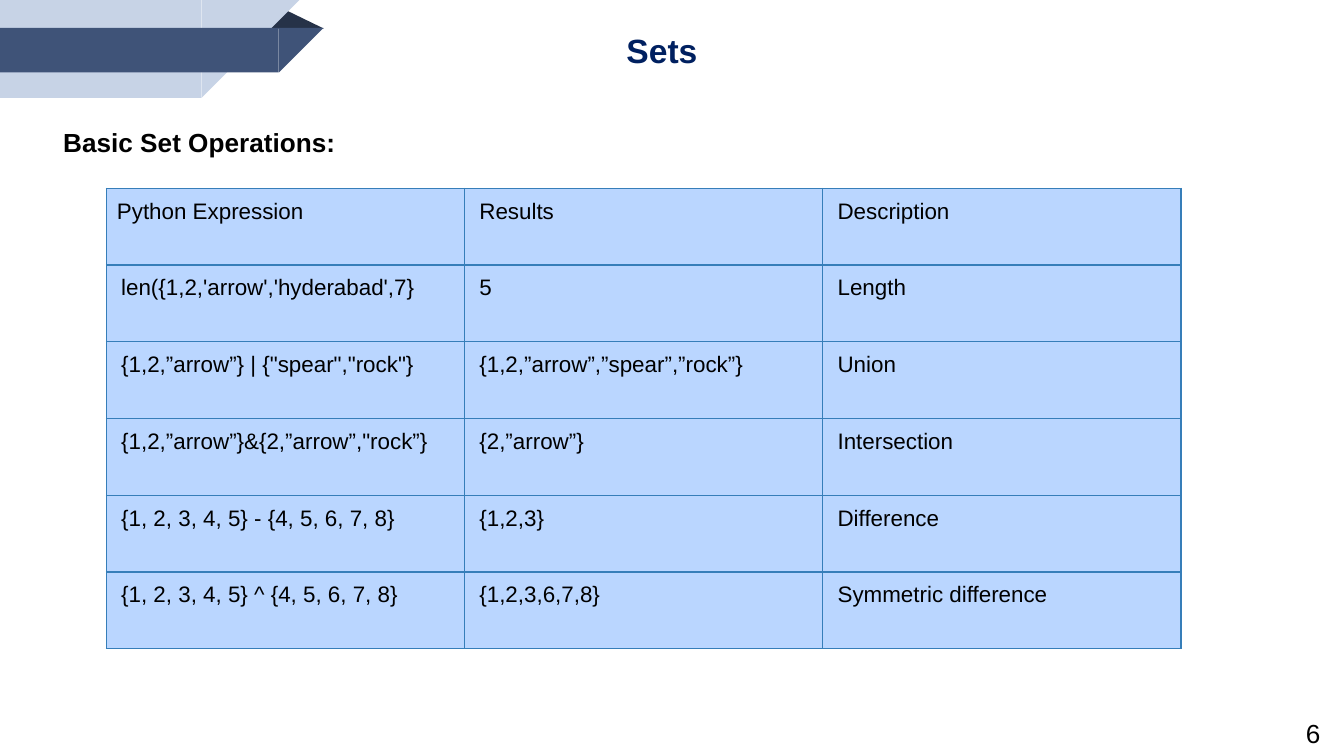
from dataclasses import dataclass

from lxml import etree
from pptx import Presentation
from pptx import util as u
from pptx.dml.color import RGBColor
from pptx.enum import shapes, text
from pptx.oxml import ns

HUES = {
    "pale": "C7D3E6",
    "navy": "3F5378",
    "fold": "263248",
    "title": "002060",
    "ink": "000000",
    "cell": "BAD6FF",
    "edge": "367EB9",
}
FONT = "Arial"
ROWS = [
    ("Python Expression", "Results", "Description"),
    ("len({1,2,'arrow','hyderabad',7}", "5", "Length"),
    ('{1,2,”arrow”} | {"spear","rock"}', "{1,2,”arrow”,”spear”,”rock”}", "Union"),
    ('{1,2,”arrow”}&{2,”arrow”,"rock”}', "{2,”arrow”}", "Intersection"),
    ("{1, 2, 3, 4, 5} - {4, 5, 6, 7, 8}", "{1,2,3}", "Difference"),
    ("{1, 2, 3, 4, 5} ^ {4, 5, 6, 7, 8}", "{1,2,3,6,7,8}", "Symmetric difference"),
]
COL, ROW = 6.77, 1.45


@dataclass
class Box:
    """Place and size in centimetres."""
    x: float
    y: float
    w: float
    h: float

    def lens(self) -> list:
        return [u.Cm(n) for n in (self.x, self.y, self.w, self.h)]


@dataclass
class Band:
    """A ribbon with a slanted right end."""
    y: float
    w: float
    h: float
    hue: str


BANDS = [Band(0, 3.81, 1.85, "pale"), Band(0.53, 5.27, 0.84, "navy")]


def color(hue: str) -> RGBColor:
    return RGBColor.from_string(HUES[hue])


def place(item, box: Box) -> None:
    item.left, item.top, item.width, item.height = box.lens()


def style(par, size: float, hue: str = "ink", bold: bool = False) -> None:
    for run in par.runs:
        font = run.font
        font.name, font.size, font.bold = FONT, u.Pt(size), bold
        font.color.rgb = color(hue)


def draw(slide, kind, box: Box, hue: str):
    shape = slide.shapes.add_shape(kind, *box.lens())
    shape.shadow.inherit = False
    shape.fill.solid()
    shape.fill.fore_color.rgb = color(hue)
    shape.line.fill.background()
    return shape


def ribbon(slide, band: Band) -> None:
    kinds = shapes.MSO_SHAPE
    draw(slide, kinds.RECTANGLE, Box(0, band.y, band.w, band.h), band.hue)
    tip = draw(slide, kinds.RIGHT_TRIANGLE,
               Box(band.w, band.y, band.h, band.h), band.hue)
    tip.rotation = 90


def write(holder, words: str, box: Box, size: float, hue: str, align) -> None:
    place(holder, box)
    frame = holder.text_frame
    frame.text = words
    frame.word_wrap = True
    frame.auto_size = text.MSO_AUTO_SIZE.NONE
    frame.vertical_anchor = text.MSO_ANCHOR.TOP
    par = frame.paragraphs[0]
    par.alignment = align
    par.space_before = u.Pt(0)
    style(par, size, hue, True)


def border(cell) -> None:
    props = cell._tc.get_or_add_tcPr()
    for side in ("lnL", "lnR", "lnT", "lnB"):
        line = etree.SubElement(props, ns.qn(f"a:{side}"), w=str(u.Pt(0.75)))
        fill = etree.SubElement(line, ns.qn("a:solidFill"))
        etree.SubElement(fill, ns.qn("a:srgbClr"), val=HUES["edge"])


def fill_cell(cell, words: str, inset: bool) -> None:
    border(cell)
    cell.fill.solid()
    cell.fill.fore_color.rgb = color("cell")
    cell.margin_left = cell.margin_right = u.Cm(0.2)
    cell.margin_top = cell.margin_bottom = u.Cm(0.2)
    cell.text_frame.text = words
    par = cell.text_frame.paragraphs[0]
    par.alignment = text.PP_ALIGN.JUSTIFY
    par.space_after = u.Pt(15)
    if inset:
        par._p.get_or_add_pPr().set("marL", str(u.Cm(0.08)))
    style(par, 12)


def main() -> None:
    deck = Presentation()
    deck.slide_width, deck.slide_height = u.Cm(25.4), u.Cm(14.29)
    slide = deck.slides.add_slide(deck.slide_layouts[1])

    # Corner ribbons
    fold = draw(slide, shapes.MSO_SHAPE.ISOSCELES_TRIANGLE,
                Box(5.03, 0.18, 1.09, 0.36), "fold")
    fold.adjustments[0] = 0.32
    for band in BANDS:
        ribbon(slide, band)

    # Title and heading
    write(slide.shapes.title, "Sets", Box(8.13, 0.43, 8.76, 1.02),
          18, "title", text.PP_ALIGN.CENTER)
    body = slide.placeholders[1]
    write(body, "Basic Set Operations:", Box(0.94, 2.26, 13.08, 2.06),
          14, "ink", text.PP_ALIGN.LEFT)
    props = body.text_frame.paragraphs[0]._p.get_or_add_pPr()
    props.set("marL", "0")
    props.set("indent", "0")
    etree.SubElement(props, ns.qn("a:buNone"))

    # Table of operations
    size = Box(2.01, 3.56, COL * len(ROWS[0]), ROW * len(ROWS))
    table = slide.shapes.add_table(len(ROWS), len(ROWS[0]), *size.lens()).table
    for col in table.columns:
        col.width = u.Cm(COL)
    for r, words in enumerate(ROWS):
        table.rows[r].height = u.Cm(ROW)
        for c, word in enumerate(words):
            fill_cell(table.cell(r, c), word, (r, c) != (0, 0))

    # Page number
    page = slide.shapes.add_textbox(*Box(24.43, 13.41, 4.14, 0.89).lens())
    frame = page.text_frame
    frame.word_wrap = True
    frame.vertical_anchor = text.MSO_ANCHOR.MIDDLE
    frame.margin_top = frame.margin_bottom = u.Cm(0.25)
    frame.text = "6"
    style(frame.paragraphs[0], 14)

    deck.save("out.pptx")


if __name__ == "__main__":
    main()
